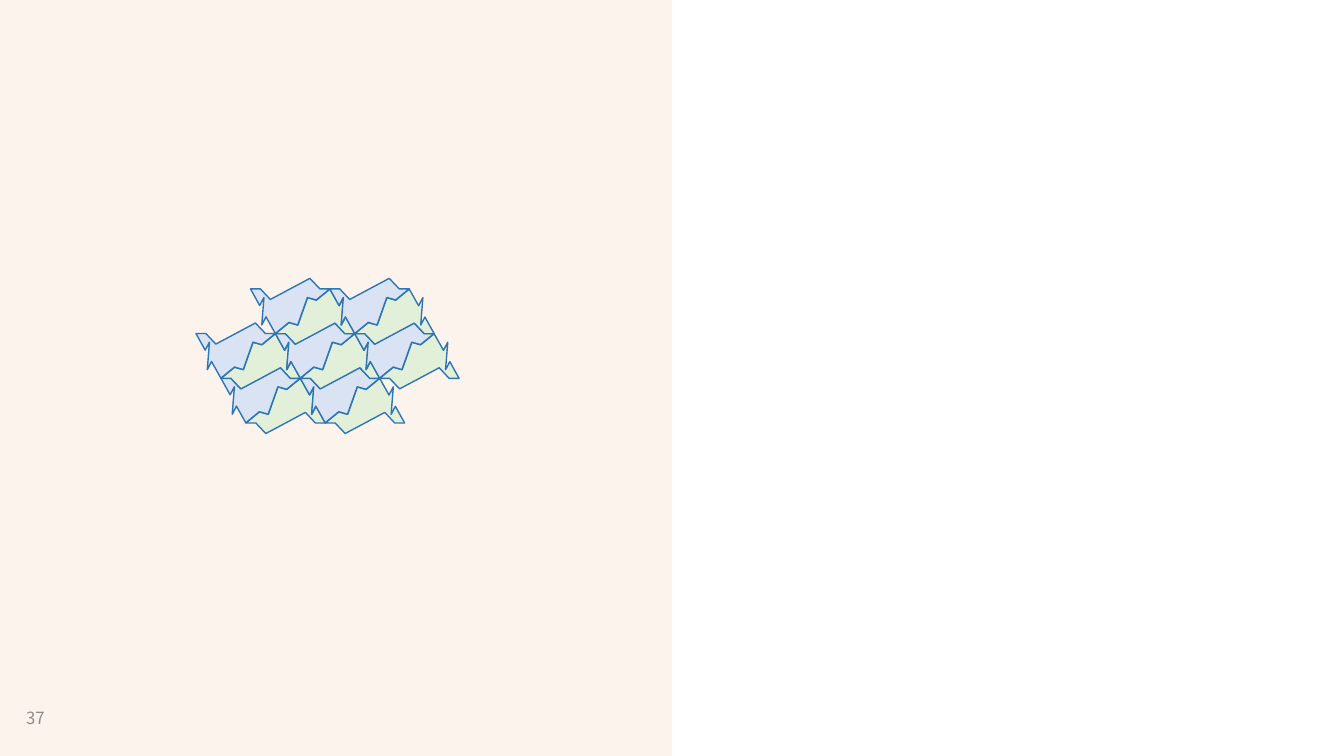
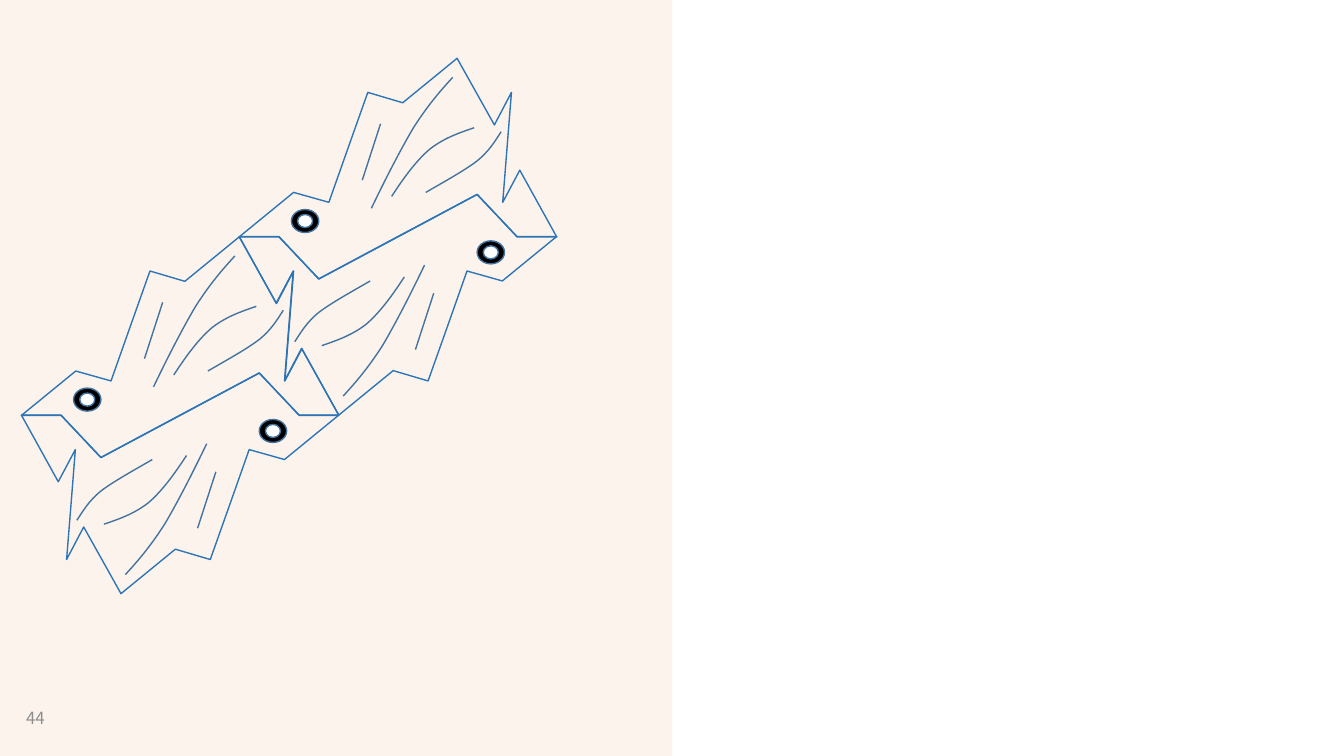
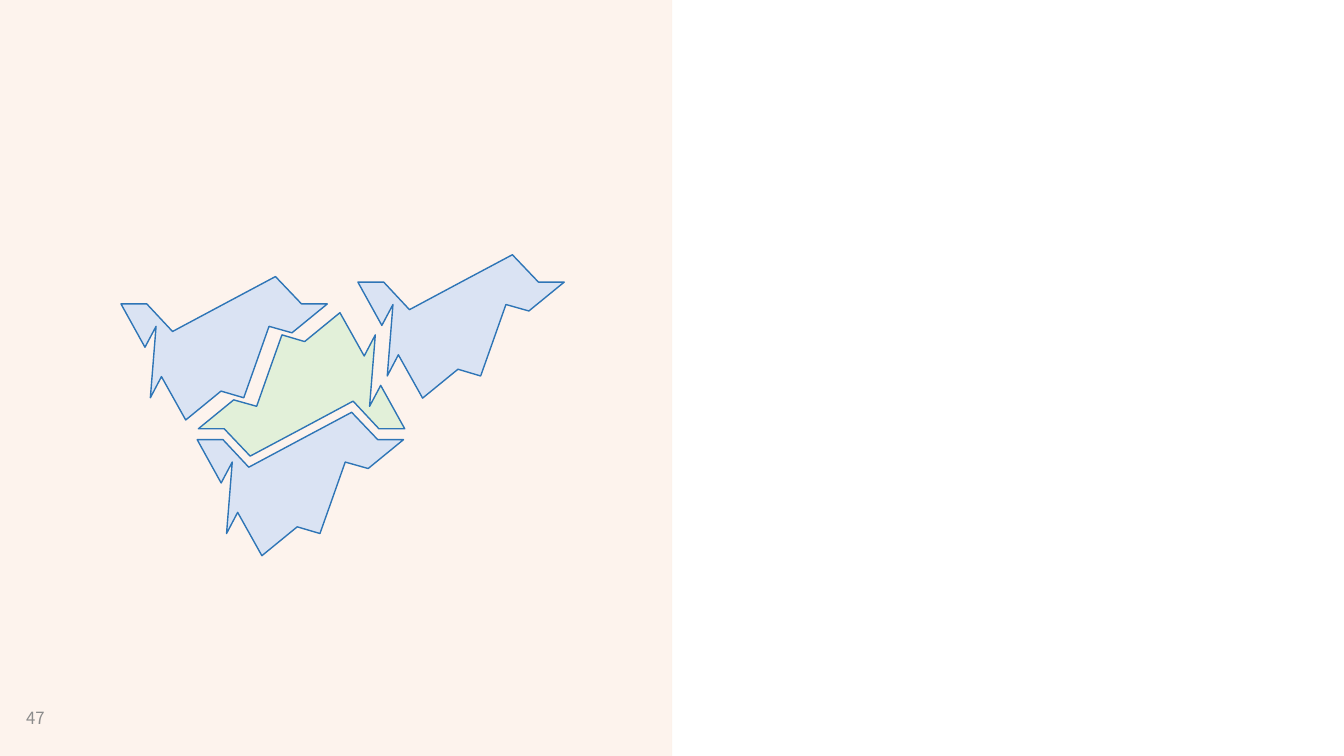
from dataclasses import dataclass

from lxml import etree
from pptx import Presentation
from pptx import util as u
from pptx.dml.color import RGBColor
from pptx.enum import shapes, text
from pptx.oxml.ns import qn


@dataclass(frozen=True)
class Theme:
    panel: str = "F4B183"
    divider: str = "FBE5D6"
    number: str = "8C8C8C"
    outline: str = "2E75B6"
    detail: str = "43739E"
    green: str = "E2F0D9"
    blue: str = "DAE3F3"
    black: str = "000000"
    white: str = "FFFFFF"
    font: str = "Noto Sans CJK SC"
    number_size: int = 12
    line_width: float = 1
    divider_width: float = 0.25


# Slide and tile geometry, in centimetres
WIDTH, HEIGHT = 33.87, 19.05
TILE_WIDTH, TILE_HEIGHT = 8, 5.56
TILE = [(5.49, 0), (4.12, 1.12), (3.24, 0.86), (2.75, 2.24), (2.26, 3.63),
        (1.37, 3.38), (0, 4.5), (1, 4.5), (2.01, 5.56), (4, 4.5), (6, 3.43),
        (7, 4.5), (8, 4.5), (7.07, 2.82), (6.64, 3.63), (6.75, 2.24),
        (6.86, 0.86), (6.43, 1.68)]
STEP_ACROSS = (8, 0)
STEP_UP = (5.49, -4.5)

# Fish details inside a tile
EYE_CENTRE = (1.66, 4.1)
EYE_SIZE, PUPIL_SIZE = (0.69, 0.58), (0.38, 0.33)
STRIPE = [(3.1, 3.07), (3.56, 1.65)]
FIN_CURVES = [
    [(3.33, 3.78), (3.68, 3.05), (4.06, 2.31), (4.39, 1.75),
     (4.75, 1.19), (5.05, 0.84), (5.38, 0.48)],
    [(3.84, 3.48), (4.14, 3.02), (4.45, 2.59), (4.8, 2.29),
     (5.16, 2.01), (5.54, 1.88), (5.92, 1.75)],
    [(4.7, 3.38), (5.18, 3.1), (5.66, 2.84), (5.99, 2.59),
     (6.3, 2.34), (6.45, 2.08), (6.6, 1.85)],
]


@dataclass(frozen=True)
class Placement:
    """Where a tile sits, its scale and whether it has a half turn."""
    left: float
    top: float
    scale: float = 1
    turned: bool = False

    def point(self, position):
        x, y = position
        if self.turned:
            x, y = TILE_WIDTH - x, TILE_HEIGHT - y
        return self.left + self.scale * x, self.top + self.scale * y


class Deck:
    def __init__(self, theme):
        self.theme = theme
        self.presentation = Presentation()
        self.presentation.slide_width = u.Cm(WIDTH)
        self.presentation.slide_height = u.Cm(HEIGHT)
        self.slide = None
        self.canvas = None

    def new_slide(self, number):
        self.slide = self.presentation.slides.add_slide(self.presentation.slide_layouts[6])
        self.canvas = self.slide.shapes
        self.panel()
        self.divider()
        self.page_number(number)

    def group(self):
        self.canvas = self.slide.shapes.add_group_shape().shapes

    # Formatting helpers
    def paint(self, shape, fill=None, line=None):
        shape.shadow.inherit = False
        if fill:
            shape.fill.solid()
            shape.fill.fore_color.rgb = RGBColor.from_string(fill)
        else:
            shape.fill.background()
        if line:
            self.stroke(shape, line, self.theme.line_width)
        else:
            shape.line.fill.background()

    def stroke(self, shape, color, width):
        shape.line.color.rgb = RGBColor.from_string(color)
        shape.line.width = u.Pt(width)

    def opacity(self, shape, percent):
        color = next(shape.element.spPr.iter(qn("a:srgbClr")))
        etree.SubElement(color, qn("a:alpha"), val=str(percent * 1000))

    # Shared parts
    def panel(self):
        shape = self.canvas.add_shape(shapes.MSO_SHAPE.RECTANGLE, 0, 0,
                                      u.Cm(WIDTH / 2), u.Cm(HEIGHT))
        self.paint(shape, self.theme.panel)
        self.opacity(shape, 14)

    def divider(self):
        connector = self.line((WIDTH / 2, HEIGHT), (WIDTH / 2, 0),
                              self.theme.divider, self.theme.divider_width)
        self.opacity(connector, 50)

    def page_number(self, number):
        box = self.canvas.add_textbox(u.Cm(0.41), u.Cm(17.6), u.Cm(1.7), u.Cm(1))
        frame = box.text_frame
        paragraph = frame.paragraphs[0]
        paragraph.text = str(number)
        font = paragraph.runs[0].font
        font.color.rgb = RGBColor.from_string(self.theme.number)
        formats = {
            frame: {"word_wrap": True, "vertical_anchor": text.MSO_ANCHOR.MIDDLE},
            font: {"name": self.theme.font, "size": u.Pt(self.theme.number_size)},
        }
        for target, values in formats.items():
            for name, value in values.items():
                setattr(target, name, value)

    # Drawing elements
    def line(self, start, end, color, width):
        ends = [u.Cm(length) for length in (*start, *end)]
        connector = self.canvas.add_connector(shapes.MSO_CONNECTOR.STRAIGHT, *ends)
        self.stroke(connector, color, width)
        etree.SubElement(connector.element.spPr, qn("a:effectLst"))
        return connector

    def freeform(self, points, close=True):
        start, *others = [(u.Cm(x), u.Cm(y)) for x, y in points]
        builder = self.canvas.build_freeform(*start)
        builder.add_line_segments(others, close=close)
        return builder.convert_to_shape()

    def curve(self, points):
        shape = self.freeform(points, close=False)
        segments = list(shape.element.iter(qn("a:lnTo")))
        # Every three points form one cubic segment
        for index in range(0, len(segments), 3):
            bezier = etree.Element(qn("a:cubicBezTo"))
            segments[index].addprevious(bezier)
            for segment in segments[index:index + 3]:
                bezier.append(segment[0])
                segment.getparent().remove(segment)
        self.paint(shape, line=self.theme.detail)

    def ellipse(self, centre, size, fill):
        (x, y), (width, height) = centre, size
        box = [u.Cm(length) for length in (x - width / 2, y - height / 2, width, height)]
        shape = self.canvas.add_shape(shapes.MSO_SHAPE.OVAL, *box)
        self.paint(shape, fill, self.theme.detail)

    def tile(self, placement, fill=None):
        shape = self.freeform([placement.point(position) for position in TILE])
        self.paint(shape, fill, self.theme.outline)

    def fish(self, placement):
        self.tile(placement)
        centre = placement.point(EYE_CENTRE)
        self.ellipse(centre, EYE_SIZE, self.theme.black)
        self.ellipse(centre, PUPIL_SIZE, self.theme.white)
        start, end = map(placement.point, STRIPE)
        self.line(start, end, self.theme.detail, self.theme.line_width)
        for curve in FIN_CURVES:
            self.curve([placement.point(position) for position in curve])


def tiling_slide(deck):
    """A hexagonal patch of tile pairs on the lattice."""
    deck.new_slide(37)
    deck.group()
    scale, left, top = 0.25, 7.57, 8.41
    steps = (-1, 0, 1)
    for across, up in ((i, j) for j in steps for i in steps if abs(i + j) <= 1):
        x = left + scale * (across * STEP_ACROSS[0] + up * STEP_UP[0])
        y = top + scale * (across * STEP_ACROSS[1] + up * STEP_UP[1])
        deck.tile(Placement(x, y, scale), deck.theme.green)
        deck.tile(Placement(x - 0.63, y - 0.27, scale, True), deck.theme.blue)


def fish_slide(deck):
    """Two pairs of fish, one lattice step apart."""
    deck.new_slide(44)
    left, top, pair_offset = 0.54, 5.97, 3.43
    for index in range(2):
        deck.group()
        x, y = left + index * STEP_UP[0], top + index * STEP_UP[1]
        deck.fish(Placement(x, y + pair_offset, turned=True))
        deck.fish(Placement(x, y))


def neighbours_slide(deck):
    """One upright tile and its three turned neighbours."""
    deck.new_slide(47)
    scale = 0.65
    deck.tile(Placement(5, 7.88, scale), deck.theme.green)
    for left, top in ((9.02, 6.42), (4.97, 10.39), (3.05, 6.97)):
        deck.tile(Placement(left, top, scale, True), deck.theme.blue)


def main():
    deck = Deck(Theme())
    for build in (tiling_slide, fish_slide, neighbours_slide):
        build(deck)
    deck.presentation.save("out.pptx")


if __name__ == "__main__":
    main()
